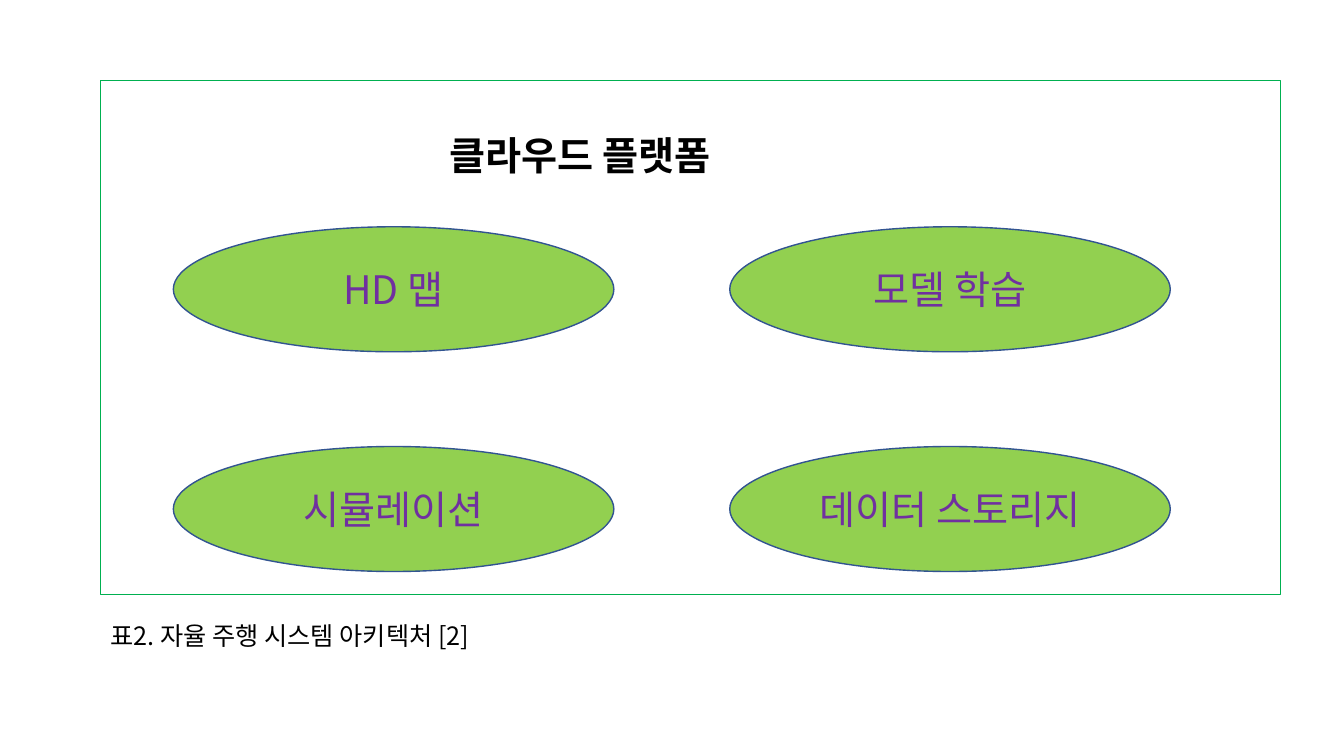
import dataclasses
import typing

import lxml.etree
import pptx
import pptx.dml.color
import pptx.enum.shapes
import pptx.enum.text
import pptx.oxml.ns
import pptx.util

Pt = pptx.util.Pt
Color = pptx.dml.color.RGBColor
Kind = pptx.enum.shapes.MSO_SHAPE
Align = pptx.enum.text.PP_ALIGN
Anchor = pptx.enum.text.MSO_ANCHOR


@dataclasses.dataclass(frozen=True)
class Theme:
    font: str = "Noto Sans CJK KR"
    ink: str = "000000"
    label: str = "7030A0"
    fill: str = "92D050"
    edge: str = "325491"
    frame: str = "00B050"
    large: float = 28
    small: float = 18


@dataclasses.dataclass(frozen=True)
class Box:
    left: float
    top: float
    width: float
    height: float

    def spans(self) -> list[pptx.util.Length]:
        return [Pt(v) for v in (self.left, self.top, self.width, self.height)]


@dataclasses.dataclass(frozen=True)
class Node:
    text: str
    col: int
    row: int


THEME = Theme()
FRAME = Box(72, 57.6, 842.4, 367.2)
CELL = Box(123.84, 162, 314.64, 89.28)
STEP = (397.44, 156.96)
NOTE = Box(72, 439.2, 657.36, 28.8)
NODES = [
    Node("HD 맵", 0, 0),
    Node("모델 학습", 1, 0),
    Node("시뮬레이션", 0, 1),
    Node("데이터 스토리지", 1, 1),
]


def write(item: typing.Any, text: str, size: float, color: str,
          align: Align = Align.LEFT, bold: bool = False) -> None:
    item.text_frame.word_wrap = True
    para = item.text_frame.paragraphs[0]
    para.alignment = align
    run = para.add_run()
    run.text = text
    run.font.name = THEME.font
    run.font.size = Pt(size)
    run.font.bold = bold
    run.font.color.rgb = Color.from_string(color)
    east = lxml.etree.Element(pptx.oxml.ns.qn("a:ea"), typeface=THEME.font)
    run.font._element.find(pptx.oxml.ns.qn("a:latin")).addnext(east)


def shape(slide: typing.Any, kind: Kind, box: Box, line: str,
          width: float, fill: str | None = None) -> typing.Any:
    item = slide.shapes.add_shape(kind, *box.spans())
    item.shadow.inherit = False
    if fill is None:
        item.fill.background()
    else:
        item.fill.solid()
        item.fill.fore_color.rgb = Color.from_string(fill)
    item.line.color.rgb = Color.from_string(line)
    item.line.width = Pt(width)
    return item


def frame(slide: typing.Any) -> None:
    item = shape(slide, Kind.RECTANGLE, FRAME, THEME.frame, 0.75)
    body = item.text_frame
    body.vertical_anchor = Anchor.TOP
    body.margin_left = Pt(249)
    body.margin_top = Pt(36)
    write(item, "클라우드 플랫폼", THEME.large, THEME.ink, bold=True)


def oval(slide: typing.Any, node: Node) -> None:
    box = dataclasses.replace(
        CELL,
        left=CELL.left + node.col * STEP[0],
        top=CELL.top + node.row * STEP[1],
    )
    item = shape(slide, Kind.OVAL, box, THEME.edge, 1, THEME.fill)
    item.text_frame.vertical_anchor = Anchor.MIDDLE
    write(item, node.text, THEME.large, THEME.label, Align.CENTER)


def note(slide: typing.Any) -> None:
    item = slide.shapes.add_textbox(*NOTE.spans())
    item.text_frame.auto_size = pptx.enum.text.MSO_AUTO_SIZE.SHAPE_TO_FIT_TEXT
    write(item, "표2. 자율 주행 시스템 아키텍처 [2]", THEME.small, THEME.ink)


def main() -> None:
    deck = pptx.Presentation()
    deck.slide_width = Pt(960)
    deck.slide_height = Pt(540)
    slide = deck.slides.add_slide(deck.slide_layouts[6])
    frame(slide)
    for node in NODES:
        oval(slide, node)
    note(slide)
    deck.save("out.pptx")


if __name__ == "__main__":
    main()
